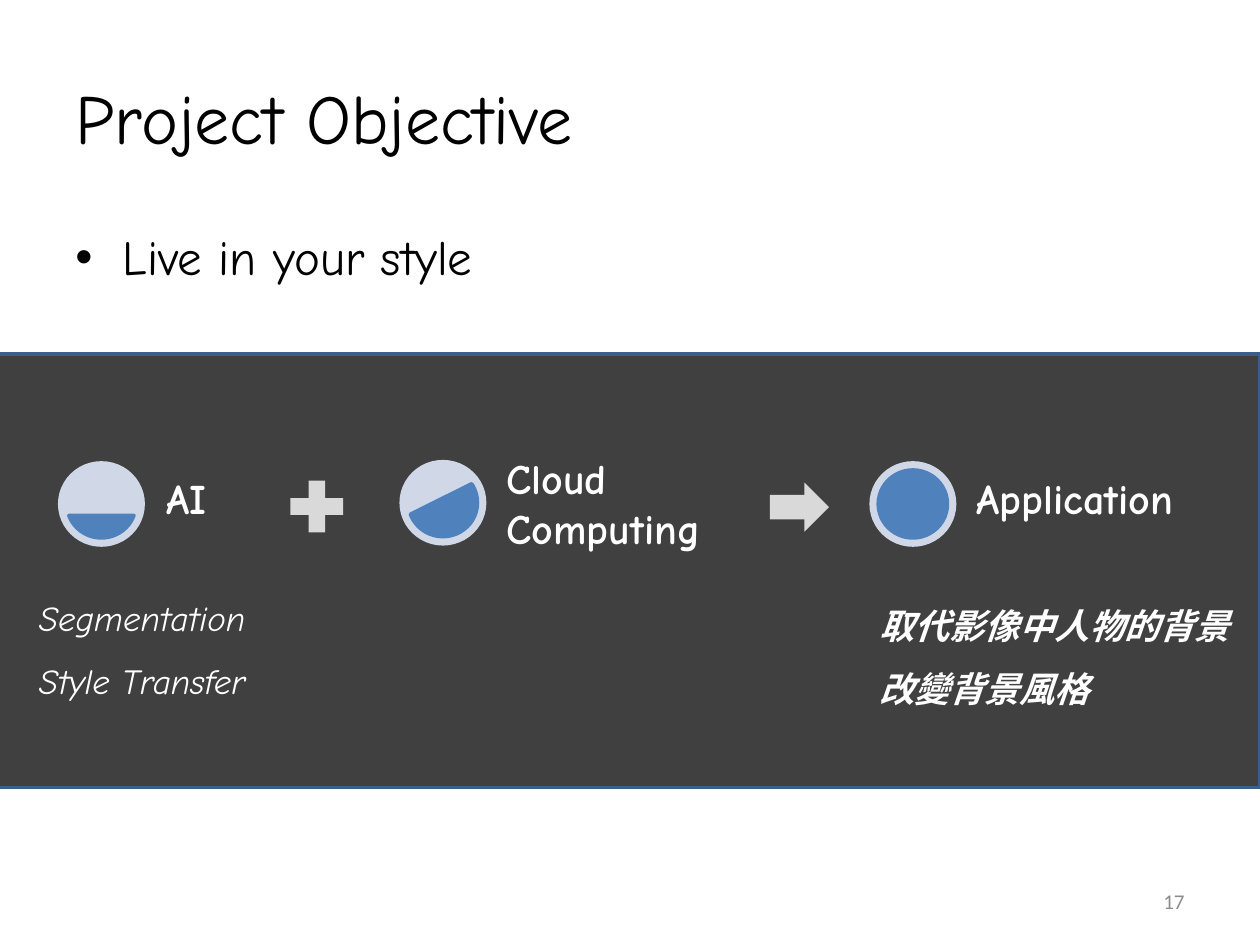
import dataclasses

import lxml.etree
import pptx
import pptx.dml.color
import pptx.enum.shapes
import pptx.enum.text
import pptx.oxml.ns
import pptx.util

KIND = pptx.enum.shapes.MSO_SHAPE
ALIGN = pptx.enum.text.PP_ALIGN
MID = pptx.enum.text.MSO_ANCHOR.MIDDLE


@dataclasses.dataclass(frozen=True)
class Theme:
    """Colours, fonts and type sizes of the slide."""

    ink: str = "000000"
    white: str = "FFFFFF"
    band: str = "404040"
    edge: str = "3A5F8C"
    disc: str = "D0D8E8"
    blue: str = "4F81BD"
    sign: str = "D9D9D9"
    faint: str = "8C8C8C"
    font: str = "Comic Neue"
    plain: str = "Calibri"
    title: int = 40
    lead: int = 28
    head: int = 24
    note: int = 20
    page: int = 12
    line: int = 2


THEME = Theme()
COLS, ROWS = 100, 75
WIDE, HIGH = pptx.util.Inches(10), pptx.util.Inches(7.5)


def cells(col, row, wide, high):
    """Turn grid columns and rows into slide lengths."""
    return (round(col * WIDE / COLS), round(row * HIGH / ROWS),
            round(wide * WIDE / COLS), round(high * HIGH / ROWS))


def tint(text):
    """Make a colour from its hex code."""
    return pptx.dml.color.RGBColor.from_string(text)


def add_run(para, text, size, color=THEME.white, face=THEME.font,
            bold=False, slant=False):
    """Add one formatted run to a paragraph."""
    run = para.add_run()
    run.text = text
    font = run.font
    font.name, font.size = face, pptx.util.Pt(size)
    font.bold, font.italic = bold, slant
    font.color.rgb = tint(color)


def add_text(shapes, place, lines, size, wrap=False, space=None, **style):
    """Add a text box with one paragraph per line."""
    box = shapes.add_textbox(*cells(*place))
    frame = box.text_frame
    frame.word_wrap = wrap
    if not wrap:
        frame.auto_size = pptx.enum.text.MSO_AUTO_SIZE.SHAPE_TO_FIT_TEXT
    for spot, line in enumerate(lines):
        para = frame.add_paragraph() if spot else frame.paragraphs[0]
        if space:
            para.line_spacing = space
        add_run(para, line, size, **style)
    return frame


def add_form(shapes, kind, place, fill, line=None, turns=()):
    """Add a filled preset shape."""
    form = shapes.add_shape(kind, *cells(*place))
    form.shadow.inherit = False
    form.fill.solid()
    form.fill.fore_color.rgb = tint(fill)
    if line:
        form.line.color.rgb = tint(line)
        form.line.width = pptx.util.Pt(THEME.line)
    else:
        form.line.fill.background()
    for spot, turn in enumerate(turns):
        form.adjustments[spot] = turn


def add_step(slide, col, row, start, lines, place):
    """Group a part-filled disc with its label."""
    shapes = slide.shapes.add_group_shape().shapes
    add_form(shapes, KIND.OVAL, (col, row, 6.9, 6.8), THEME.disc)
    add_form(shapes, KIND.CHORD, (col + 0.7, row + 0.7, 5.5, 5.4),
             THEME.blue, THEME.blue, (start, 96.317))
    add_text(shapes, place, lines, THEME.head, bold=True)


def add_title(slide, text):
    """Place and fill the title."""
    title = slide.shapes.title
    title.left, title.top, title.width, title.height = cells(5, 3, 90, 12.5)
    title.text_frame.vertical_anchor = MID
    para = title.text_frame.paragraphs[0]
    para.alignment = ALIGN.LEFT
    add_run(para, text, THEME.title, THEME.ink)


def add_lead(slide, text):
    """Add the bulleted lead line."""
    frame = add_text(slide.shapes, (5, 17.5, 90, 49.5), [text], THEME.lead,
                     wrap=True, color=THEME.ink)
    props = frame.paragraphs[0]._p.get_or_add_pPr()
    dent = cells(3.75, 0, 0, 0)[0]
    props.set("marL", str(dent))
    props.set("indent", str(-dent))
    qn = pptx.oxml.ns.qn
    lxml.etree.SubElement(props, qn("a:buFont"), typeface="Arial")
    lxml.etree.SubElement(props, qn("a:buChar"), char="•")


def add_page(slide, text):
    """Add the page number."""
    frame = add_text(slide.shapes, (71.7, 69.5, 23.3, 4), [text], THEME.page,
                     wrap=True, color=THEME.faint, face=THEME.plain)
    frame.vertical_anchor = MID
    frame.paragraphs[0].alignment = ALIGN.RIGHT


def main():
    """Build and save the slide."""
    deck = pptx.Presentation()
    deck.slide_width, deck.slide_height = WIDE, HIGH
    slide = deck.slides.add_slide(deck.slide_layouts[5])
    shapes = slide.shapes
    add_title(slide, "Project Objective")
    add_lead(slide, "Live in your style")
    add_form(shapes, KIND.RECTANGLE, (-0.3, 28.1, 100.3, 34.4),
             THEME.band, THEME.edge)

    add_step(slide, 4.6, 36.6, 11.683, ["AI"], (12.2, 37, 6.3, 5))
    add_step(slide, 31.7, 36.5, 195.972, ["Cloud", "Computing"],
             (39.2, 35.4, 18.1, 9.1))
    add_step(slide, 69, 36.6, 101.309, ["Application"], (76.5, 37, 19.6, 5))

    add_text(shapes, (2.1, 45.2, 21.7, 11.1),
             ["Segmentation", "Style Transfer"],
             THEME.note, space=1.5, slant=True)
    add_text(shapes, (68.8, 45.8, 30.1, 10.5),
             ["取代影像中人物的背景", "改變背景風格"],
             THEME.note, space=1.5, bold=True, slant=True)

    add_form(shapes, KIND.MATH_PLUS, (22.3, 37.4, 5.7, 5.6), THEME.sign)
    add_form(shapes, KIND.RIGHT_ARROW, (61.1, 38.3, 4.7, 3.9), THEME.sign)
    add_page(slide, "17")
    deck.save("out.pptx")


if __name__ == "__main__":
    main()
